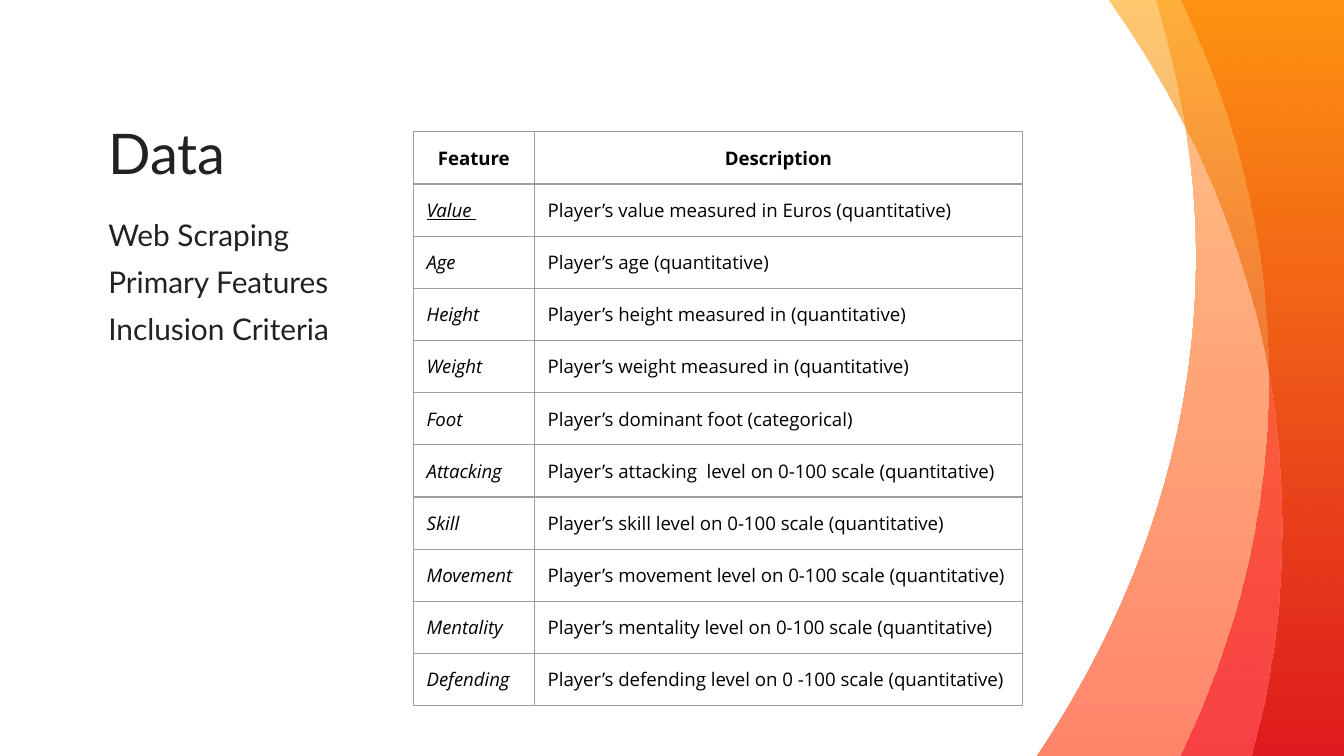
from dataclasses import dataclass

from lxml.etree import SubElement
from pptx import Presentation
from pptx.dml.color import RGBColor as Color
from pptx.enum.text import MSO_ANCHOR as Anchor, MSO_AUTO_SIZE as AutoSize, PP_ALIGN as Align
from pptx.oxml.ns import qn
from pptx.util import Emu, Pt

SCALE = 5715
WIDTH, HEIGHT = 1600, 900
CELL_MARGIN = Emu(91425)


@dataclass(frozen=True)
class Theme:
    heading_font: str = "Lato"
    table_font: str = "Open Sans"
    ink: str = "222222"
    table_ink: str = "000000"
    border: str = "9E9E9E"
    title_size: int = 30
    body_size: int = 16
    table_size: int = 10
    border_width: float = 0.75
    peach: tuple = (("FFC486", 100), ("FF866B", 100))
    red: tuple = (("FF6A00", 72), ("F20122", 52))
    orange: tuple = (("FF9F00", 56), ("CC0000", 57))


THEME = Theme()

WAVES = [
    (THEME.peach, (1376, 0),
     [[(1406, 98), (1424, 200), (1424, 306)], [(1424, 518), (1355, 720), (1235, 900)]]),
    (THEME.red, (1405, 0),
     [[(1474, 142), (1510, 294), (1510, 451)], [(1510, 610), (1472, 762), (1405, 900)]]),
    (THEME.orange, (1320, 0),
     [[(1453, 190), (1526, 402), (1526, 626)], [(1526, 720), (1514, 813), (1489, 900)]]),
]

TOPICS = ["Web Scraping", "Primary Features", "Inclusion Criteria"]

FEATURES = [
    ("Value", "Player’s value measured in Euros (quantitative)"),
    ("Age", "Player’s age (quantitative)"),
    ("Height", "Player’s height measured in (quantitative)"),
    ("Weight", "Player’s weight measured in (quantitative)"),
    ("Foot", "Player’s dominant foot (categorical)"),
    ("Attacking", "Player’s attacking  level on 0-100 scale (quantitative)"),
    ("Skill", "Player’s skill level on 0-100 scale (quantitative)"),
    ("Movement", "Player’s movement level on 0-100 scale (quantitative)"),
    ("Mentality", "Player’s mentality level on 0-100 scale (quantitative)"),
    ("Defending", "Player’s defending level on 0 -100 scale (quantitative)"),
]


def px(length):
    return round(length * SCALE)


def set_values(target, values):
    for name, value in values.items():
        setattr(target, name, value)


def format_font(font, name, size, color, **styles):
    set_values(font, {"name": name, "size": Pt(size), **styles})
    font.color.rgb = Color.from_string(color)


def bend_segments(shape, curves, left):
    segments = list(shape.element.iter(qn("a:lnTo")))
    for segment, curve in zip(segments, curves):
        bend = segment.makeelement(qn("a:cubicBezTo"), {})
        for x, y in curve:
            SubElement(bend, qn("a:pt"), x=str(x - left), y=str(y))
        segment.getparent().replace(segment, bend)


def add_wave(slide, depth, stops, start, curves):
    points = [curve[-1] for curve in curves] + [(WIDTH, HEIGHT), (WIDTH, 0)]
    builder = slide.shapes.build_freeform(*start, scale=SCALE)
    builder.add_line_segments(points, close=True)
    shape = builder.convert_to_shape()
    bend_segments(shape, curves, min(x for x, y in [start, *points]))
    shape.shadow.inherit = False
    shape.line.fill.background()
    shape.fill.gradient()
    shape.fill.gradient_angle = 270
    for stop, (color, opacity) in zip(shape.fill.gradient_stops, stops):
        stop.color.rgb = Color.from_string(color)
    for element, (color, opacity) in zip(shape.element.spPr.iter(qn("a:srgbClr")), stops):
        if opacity < 100:
            SubElement(element, qn("a:alpha"), val=str(opacity * 1000))
    slide.shapes.element.insert(2 + depth, shape.element)


def fill_placeholder(shape, box, lines, size, anchor, gap=0):
    set_values(shape, dict(zip(("left", "top", "width", "height"), map(px, box))))
    frame = shape.text_frame
    frame.text = "\n".join(lines)
    set_values(frame, {
        "margin_left": 0, "margin_right": 0, "margin_top": 0, "margin_bottom": 0,
        "word_wrap": True, "auto_size": AutoSize.NONE, "vertical_anchor": anchor,
    })
    for index, paragraph in enumerate(frame.paragraphs):
        set_values(paragraph, {"alignment": Align.LEFT, "space_before": Pt(gap if index else 0)})
        properties = paragraph._p.get_or_add_pPr()
        properties.set("marL", "0")
        properties.set("indent", "0")
        SubElement(properties, qn("a:buNone"))
        for run in paragraph.runs:
            format_font(run.font, THEME.heading_font, size, THEME.ink)


def add_borders(cell):
    properties = cell._tc.get_or_add_tcPr()
    for index, side in enumerate(("lnL", "lnR", "lnT", "lnB")):
        line = properties.makeelement(qn(f"a:{side}"), {"w": str(Pt(THEME.border_width))})
        fill = SubElement(line, qn("a:solidFill"))
        SubElement(fill, qn("a:srgbClr"), val=THEME.border)
        properties.insert(index, line)


def fill_cell(cell, runs, alignment=Align.LEFT):
    set_values(cell, {
        "margin_left": CELL_MARGIN, "margin_right": CELL_MARGIN,
        "margin_top": CELL_MARGIN, "margin_bottom": CELL_MARGIN,
        "vertical_anchor": Anchor.TOP,
    })
    cell.fill.background()
    add_borders(cell)
    paragraph = cell.text_frame.paragraphs[0]
    paragraph.alignment = alignment
    for text, styles in runs:
        run = paragraph.add_run()
        run.text = text
        format_font(run.font, THEME.table_font, THEME.table_size, THEME.table_ink,
                    **{"bold": False, **styles})


def add_feature_table(slide, left, top, column_widths, row_height):
    row_count = len(FEATURES) + 1
    frame = slide.shapes.add_table(row_count, len(column_widths), px(left), px(top),
                                   px(sum(column_widths)), px(row_height * row_count))
    table = frame.table
    set_values(table, {"first_row": False, "horz_banding": False})
    for column, width in zip(table.columns, column_widths):
        column.width = px(width)
    for row in table.rows:
        row.height = px(row_height)
    for index, heading in enumerate(("Feature", "Description")):
        fill_cell(table.cell(0, index), [(heading, {"bold": True})], Align.CENTER)
    for index, (feature, description) in enumerate(FEATURES, start=1):
        name_runs = [(feature, {"italic": True})]
        if feature == "Value":
            name_runs = [(feature, {"italic": True, "underline": True}), (" ", {"underline": True})]
        fill_cell(table.cell(index, 0), name_runs)
        fill_cell(table.cell(index, 1), [(description, {})])


def main():
    presentation = Presentation()
    set_values(presentation, {"slide_width": px(WIDTH), "slide_height": px(HEIGHT)})
    slide = presentation.slides.add_slide(presentation.slide_layouts[1])
    for depth, wave in enumerate(WAVES):
        add_wave(slide, depth, *wave)
    title, body = slide.placeholders
    fill_placeholder(title, (129, 91, 1056, 130), ["Data"], THEME.title_size, Anchor.BOTTOM)
    fill_placeholder(body, (129, 258, 1056, 533), TOPICS, THEME.body_size, Anchor.TOP, gap=6)
    add_feature_table(slide, 492, 157, (144, 581), 54)
    presentation.save("out.pptx")


if __name__ == "__main__":
    main()
